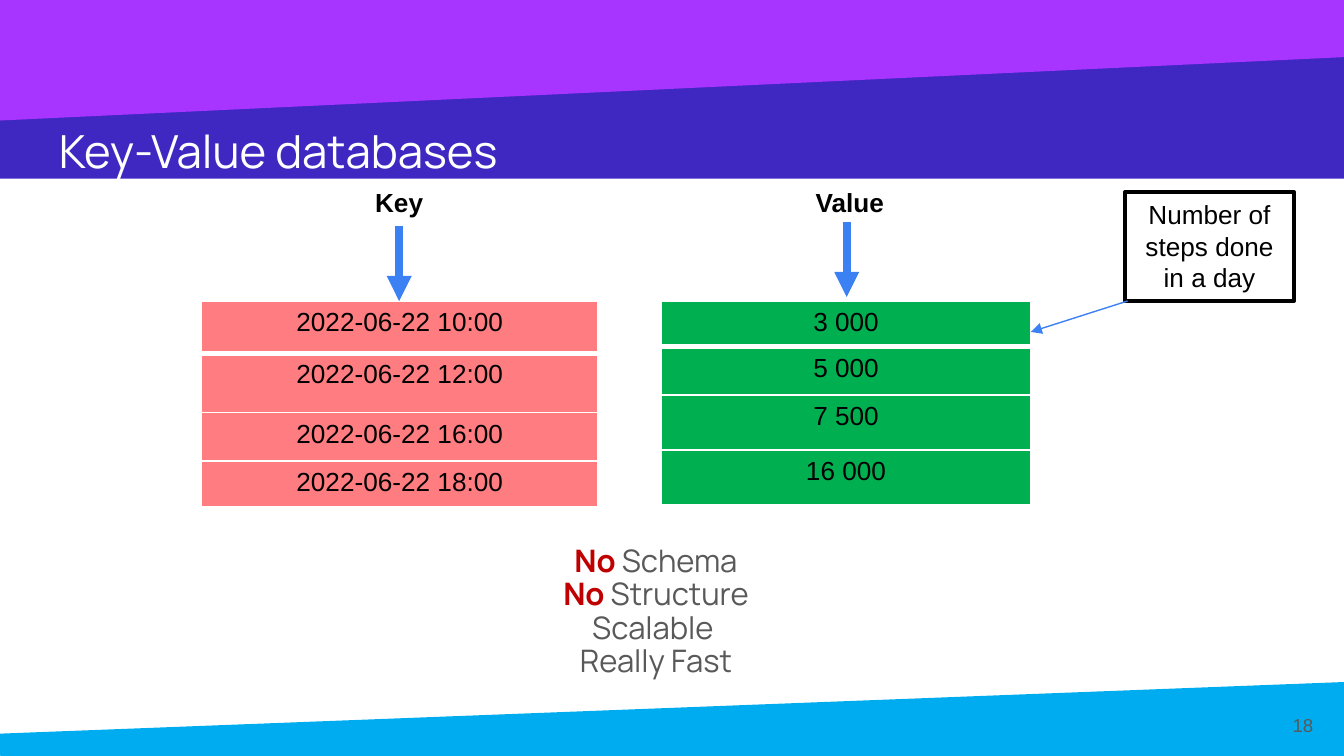
from lxml.etree import SubElement
from pptx import Presentation
from pptx.dml.color import RGBColor
from pptx.enum.shapes import MSO_CONNECTOR, MSO_SHAPE
from pptx.enum.text import MSO_ANCHOR, PP_ALIGN
from pptx.oxml import parse_xml
from pptx.oxml.ns import nsdecls, qn
from pptx.util import Inches, Pt

WHITE = RGBColor(0xFF, 0xFF, 0xFF)
BLACK = RGBColor(0x00, 0x00, 0x00)
GREY = RGBColor(0x59, 0x59, 0x59)
RED = RGBColor(0xC0, 0x00, 0x00)
ARROW_BLUE = RGBColor(0x3C, 0x81, 0xF3)
SKY = RGBColor(0x00, 0xAC, 0xF0)
INDIGO = RGBColor(0x3F, 0x27, 0xC2)
PURPLE = RGBColor(0xA8, 0x34, 0xFF)
PINK = RGBColor(0xFF, 0x7C, 0x80)
GREEN = RGBColor(0x00, 0xB0, 0x50)

# Content: boxes are left, top, width, height in inches
SLIDE_WIDTH = 10
SLIDE_HEIGHT = SLIDE_WIDTH * 9 / 16
BANDS = [
    ((0.03, 5.26, 10.35, 1.99), 357.8, SKY),
    ((-0.27, -0.53, 10.35, 1.86), 0, INDIGO),
    ((-0.51, -0.77, 10.62, 1.44), 357.3, PURPLE),
]
TITLE = "Key-Value databases"
FEATURES = [("No", " Schema"), ("No", " Structure"), ("", "Scalable "), ("", "Really Fast")]
COLUMNS = [
    {"left": 1.5, "width": 2.95, "fill": PINK, "rows": [
        ("2022-06-22 10:00", 0.39), ("2022-06-22 12:00", 0.44),
        ("2022-06-22 16:00", 0.36), ("2022-06-22 18:00", 0.34)]},
    {"left": 4.92, "width": 2.75, "fill": GREEN, "rows": [
        ("3 000", 0.34), ("5 000", 0.36), ("7 500", 0.41), ("16 000", 0.41)]},
]
TABLE_TOP = 2.24
HEADINGS = [("Key", 2.6, PP_ALIGN.CENTER), ("Value", 5.97, PP_ALIGN.LEFT)]
ARROWS = [
    ((2.97, 1.68), (2.97, 2.24), 4.5),
    ((6.3, 1.65), (6.3, 2.21), 4.5),
    ((8.39, 2.24), (7.67, 2.47), 0.75),
]
CALLOUT = "Number of steps done in a day"

BODY = {"name": "Arial", "size": Pt(14), "color": BLACK}
HEADING = {**BODY, "bold": True}
TITLE_FONT = {"name": "Manrope", "size": Pt(24.4), "color": WHITE}
FEATURE = {"name": "Manrope", "size": Pt(16.6), "color": GREY}
EMPHASIS = {**FEATURE, "color": RED, "bold": True}
NUMBER = {"name": "Arial", "size": Pt(10), "color": GREY}


def add_run(paragraph, text, style):
    run = paragraph.add_run()
    run.text = text
    for name, value in style.items():
        if name == "color":
            run.font.color.rgb = value
        else:
            setattr(run.font, name, value)


def fill_text(frame, text, style, align=PP_ALIGN.LEFT):
    paragraph = frame.paragraphs[0]
    paragraph.alignment = align
    add_run(paragraph, text, style)


def add_text_box(box, anchor=MSO_ANCHOR.TOP, inset=None):
    text_box = slide.shapes.add_textbox(*map(Inches, box))
    frame = text_box.text_frame
    frame.word_wrap = True
    frame.vertical_anchor = anchor
    if inset is not None:
        for side in ("left", "top", "right", "bottom"):
            setattr(frame, f"margin_{side}", Inches(inset))
    return text_box


def add_rectangle(box, color):
    shape = slide.shapes.add_shape(MSO_SHAPE.RECTANGLE, *map(Inches, box))
    shape.shadow.inherit = False
    shape.fill.solid()
    shape.fill.fore_color.rgb = color
    shape.line.fill.background()
    return shape


def set_borders(cell, bottom, top):
    properties = cell._tc.get_or_add_tcPr()
    for index, (side, points) in enumerate([("L", 1), ("R", 1), ("T", top), ("B", bottom)]):
        properties.insert(index, parse_xml(
            f'<a:ln{side} {nsdecls("a")} w="{Pt(points)}"><a:solidFill>'
            f'<a:srgbClr val="{WHITE}"/></a:solidFill></a:ln{side}>'))


def add_column(left, width, fill, rows):
    total = sum(height for _, height in rows)
    frame = slide.shapes.add_table(
        len(rows), 1, *map(Inches, (left, TABLE_TOP, width, total)))
    for index, (text, height) in enumerate(rows):
        frame.table.rows[index].height = Inches(height)
        cell = frame.table.cell(index, 0)
        cell.fill.solid()
        cell.fill.fore_color.rgb = fill
        set_borders(cell, bottom=3 if index == 0 else 1, top=3 if index == 1 else 1)
        fill_text(cell.text_frame, text, BODY, PP_ALIGN.CENTER)


def add_arrow(start, end, points):
    arrow = slide.shapes.add_connector(
        MSO_CONNECTOR.STRAIGHT, *map(Inches, start + end))
    arrow.line.color.rgb = ARROW_BLUE
    arrow.line.width = Pt(points)
    SubElement(arrow.line._get_or_add_ln(), qn("a:tailEnd"), type="triangle")
    SubElement(arrow._element.spPr, qn("a:effectLst"))
    return arrow


presentation = Presentation()
presentation.slide_width = Inches(SLIDE_WIDTH)
presentation.slide_height = Inches(SLIDE_HEIGHT)
slide = presentation.slides.add_slide(presentation.slide_layouts[6])

# Slanted background bands
for box, rotation, color in BANDS:
    add_rectangle(box, color).rotation = rotation

# Feature list
frame = add_text_box((0.16, 3.96, 9.32, 1.28), inset=0.1).text_frame
for index, (emphasis, text) in enumerate(FEATURES):
    paragraph = frame.add_paragraph() if index else frame.paragraphs[0]
    paragraph.alignment = PP_ALIGN.CENTER
    paragraph.line_spacing = 0.9
    properties = paragraph._p.get_or_add_pPr()
    properties.set("marL", str(Inches(0.5)))
    properties.set("indent", str(Inches(-0.38)))
    if emphasis:
        add_run(paragraph, emphasis, EMPHASIS)
    add_run(paragraph, text, FEATURE)

# Key and value tables
for column in COLUMNS:
    add_column(**column)

# Headings, callout and arrows
heading_boxes = []
for text, left, align in HEADINGS:
    heading = add_text_box((left, 1.34, 0.74, 0.34))
    fill_text(heading.text_frame, text, HEADING, align)
    heading_boxes.append(heading)

callout = add_rectangle((8.37, 1.43, 1.26, 0.81), WHITE)
callout.line.color.rgb = BLACK
callout.line.width = Pt(2)
callout.text_frame.word_wrap = True
callout.text_frame.vertical_anchor = MSO_ANCHOR.TOP
fill_text(callout.text_frame, CALLOUT, BODY, PP_ALIGN.CENTER)

key_arrow, *_ = [add_arrow(*arrow) for arrow in ARROWS]
key_arrow.begin_connect(heading_boxes[0], 2)

# Title and slide number
title = add_text_box((0.34, 0.79, 9.32, 0.63), MSO_ANCHOR.BOTTOM, 0.1)
fill_text(title.text_frame, TITLE, TITLE_FONT)
number = add_text_box((9.27, 5.18, 0.6, 0.43), MSO_ANCHOR.MIDDLE, 0.1)
fill_text(number.text_frame, "18", NUMBER, PP_ALIGN.RIGHT)

presentation.save("out.pptx")
